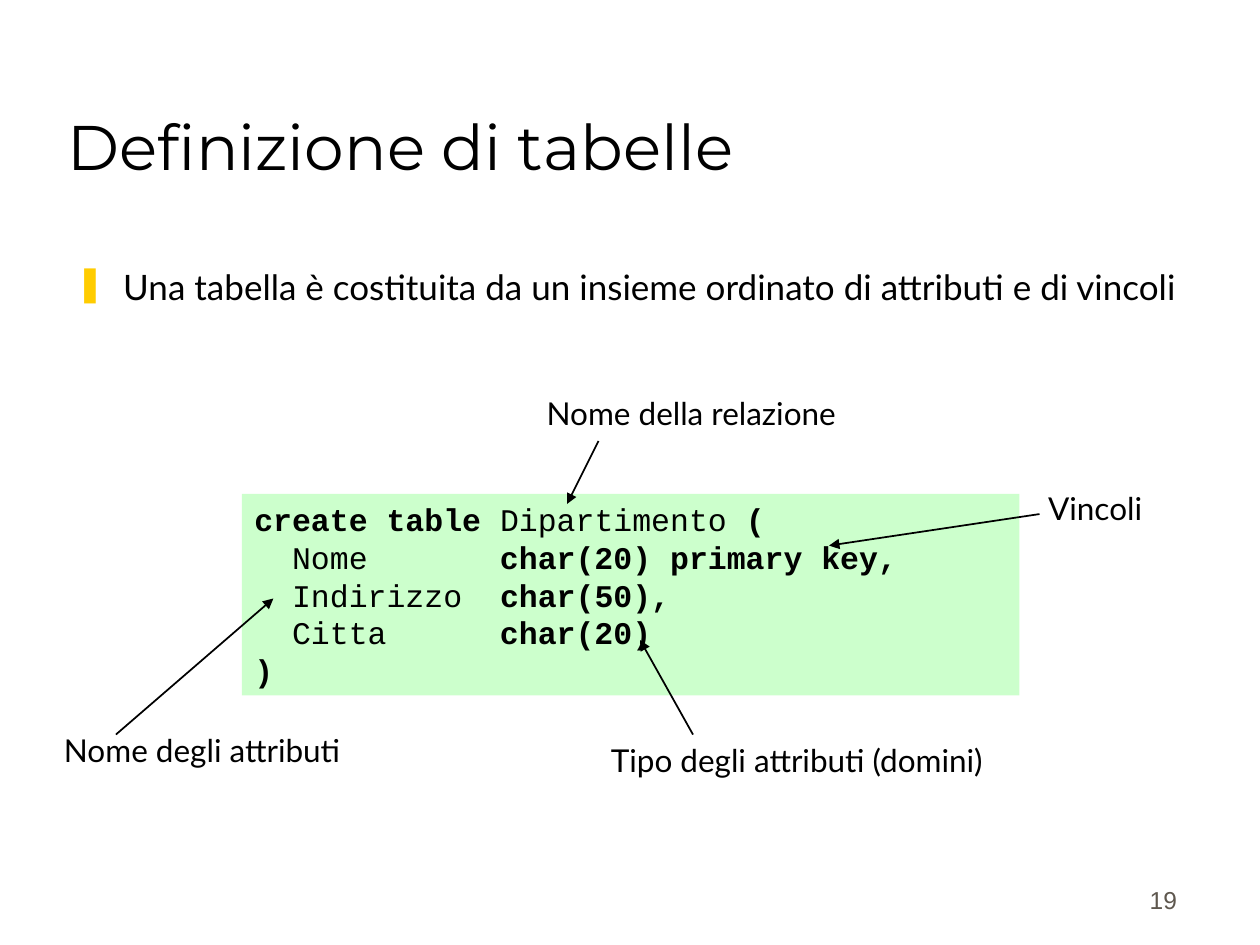
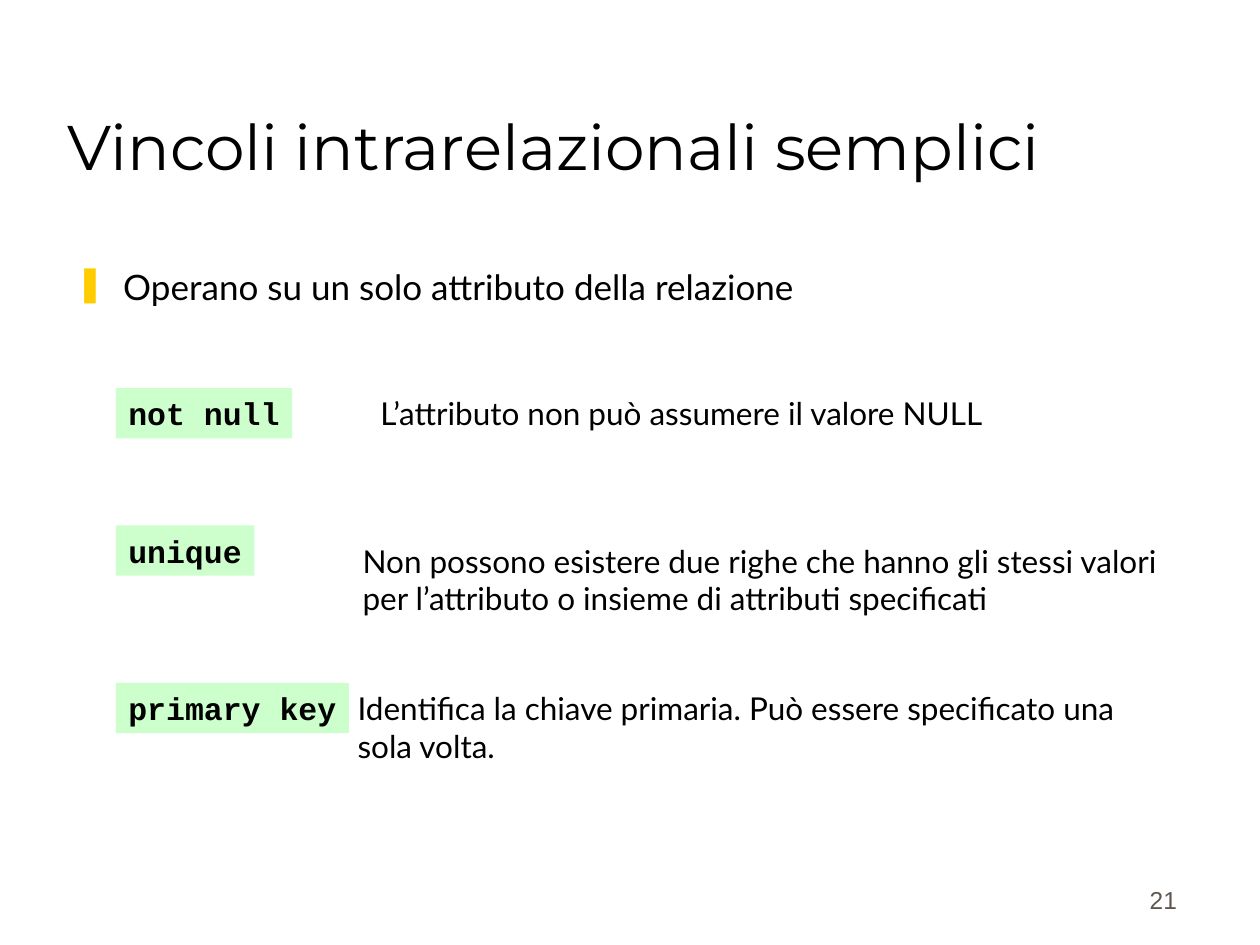
from dataclasses import dataclass
from typing import NamedTuple

from lxml.etree import SubElement
from pptx import Presentation
from pptx.dml.color import RGBColor
from pptx.enum.shapes import MSO_CONNECTOR, MSO_SHAPE
from pptx.enum.text import MSO_ANCHOR, MSO_AUTO_SIZE, PP_ALIGN
from pptx.oxml.ns import qn
from pptx.util import Inches, Pt

BLACK, GREEN, YELLOW, GRAY = "000000", "CCFFCC", "FFCC00", "5E574E"

TITLE = dict(name="Montserrat", size=Pt(36))
BODY = dict(name="Lato", size=Pt(20))
LABEL = dict(name="Lato", size=Pt(18))
CODE = dict(name="Courier New", size=Pt(18), bold=True)
NUMBER = dict(name="Arial", size=Pt(14))

FIXED = dict(word_wrap=True, auto_size=MSO_AUTO_SIZE.NONE)
BOTTOM = dict(FIXED, vertical_anchor=MSO_ANCHOR.BOTTOM)
GROW = dict(word_wrap=False, auto_size=MSO_AUTO_SIZE.SHAPE_TO_FIT_TEXT,
            vertical_anchor=MSO_ANCHOR.TOP)


class Box(NamedTuple):
    left: float
    top: float
    width: float
    height: float = 0.4


class Part(NamedTuple):
    text: str
    bold: bool = True


class Arrow(NamedTuple):
    x1: float
    y1: float
    x2: float
    y2: float


@dataclass
class Block:
    box: Box
    lines: list


CREATE_TABLE = Block(Box(1.92, 3.92, 6.17, 1.6), [
    [Part("create table "), Part("Dipartimento", False), Part(" (")],
    [Part("  "), Part("Nome", False), Part("       char(20) primary key,")],
    [Part("  "), Part("Indirizzo", False), Part("  char(50),")],
    [Part("  "), Part("Citta", False), Part("      char(20)")],
    [Part(")")],
])
CALLOUTS = [
    Block(Box(4.24, 3.08, 2.69), ["Nome della relazione"]),
    Block(Box(4.75, 5.83, 3.4), ["Tipo degli attributi (domini)"]),
    Block(Box(0.41, 5.75, 2.57), ["Nome degli attributi"]),
    Block(Box(8.22, 3.83, 0.97), ["Vincoli"]),
]
ARROWS = [
    Arrow(0.92, 5.83, 2.17, 4.75),
    Arrow(5.5, 5.83, 5.08, 5.08),
    Arrow(8.25, 4.08, 6.58, 4.33),
    Arrow(4.75, 3.5, 4.5, 4),
]
KEYWORDS = [
    Block(Box(0.92, 3.08, 1.4), ["not null"]),
    Block(Box(0.92, 4.17, 1.1), ["unique"]),
    Block(Box(0.92, 5.42, 1.85), ["primary key"]),
]
MEANINGS = [
    Block(Box(2.92, 3.08, 5.36), ["L’attributo non può assumere il valore NULL"]),
    Block(Box(2.78, 4.25, 7.03, 0.7), [
        "Non possono esistere due righe che hanno gli stessi valori",
        "per l’attributo o insieme di attributi specificati"]),
    Block(Box(2.74, 5.42, 6.7, 0.7), [
        "Identifica la chiave primaria. Può essere specificato una",
        "sola volta."]),
]


def rgb(color: str) -> RGBColor:
    """Turn a hex string into a colour."""
    return RGBColor.from_string(color)


def apply(target, values: dict) -> None:
    """Set each named attribute on the target."""
    for name, value in values.items():
        setattr(target, name, value)


def write(sp, lines: list, font: dict, frame: dict, color: str = BLACK,
          align=PP_ALIGN.LEFT) -> None:
    """Fill a shape with lines of plain text or of parts."""
    tf = sp.text_frame
    apply(tf, frame)
    for i, line in enumerate(lines):
        p = tf.paragraphs[0] if i == 0 else tf.add_paragraph()
        p.alignment = align
        parts = [Part(line, font.get("bold", False))] if isinstance(line, str) else line
        for part in parts:
            r = p.add_run()
            r.text = part.text
            apply(r.font, dict(font, bold=part.bold))
            r.font.color.rgb = rgb(color)


def add_text(s, block: Block, font: dict = LABEL, frame: dict = GROW, **style):
    """Add a text box and return it."""
    sp = s.shapes.add_textbox(*map(Inches, block.box))
    write(sp, block.lines, font, frame, **style)
    return sp


def add_code(s, block: Block, wrap: bool = False) -> None:
    """Add a green rectangle holding code."""
    sp = s.shapes.add_shape(MSO_SHAPE.RECTANGLE, *map(Inches, block.box))
    sp.shadow.inherit = False
    sp.fill.solid()
    sp.fill.fore_color.rgb = rgb(GREEN)
    sp.line.fill.background()
    write(sp, block.lines, CODE, dict(GROW, word_wrap=wrap))


def add_arrow(s, arrow: Arrow) -> None:
    """Add a thin black line with a triangle at its end."""
    c = s.shapes.add_connector(MSO_CONNECTOR.STRAIGHT, *map(Inches, arrow))
    c.line.width = Pt(1)
    c.line.color.rgb = rgb(BLACK)
    SubElement(c.line._get_or_add_ln(), qn("a:tailEnd"), type="triangle")
    SubElement(c._element.spPr, qn("a:effectLst"))


def add_bullet(p) -> None:
    """Give a paragraph the yellow bar bullet and a hanging indent."""
    pPr = p._p.get_or_add_pPr()
    pPr.set("marL", str(Inches(0.38)))
    pPr.set("indent", str(Inches(-0.38)))
    SubElement(SubElement(pPr, qn("a:buClr")), qn("a:srgbClr"), val=YELLOW)
    SubElement(pPr, qn("a:buChar"), char="❚")


def add_slide(prs, title: str, statement: str, number: int):
    """Add a slide with its title, bulleted statement and number."""
    s = prs.slides.add_slide(prs.slide_layouts[6])
    add_text(s, Block(Box(0.44, 0.25, 9.14, 1.25), [title]), TITLE, BOTTOM)
    sp = add_text(s, Block(Box(0.5, 2.06, 8.94, 0.6), [statement]), BODY, FIXED)
    add_bullet(sp.text_frame.paragraphs[0])
    add_text(s, Block(Box(7.36, 6.81, 2.08, 0.5), [str(number)]), NUMBER, BOTTOM,
             color=GRAY, align=PP_ALIGN.RIGHT)
    return s


def main() -> None:
    """Build and save the slides."""
    prs = Presentation()
    prs.slide_width, prs.slide_height = Inches(10), Inches(7.5)

    s = add_slide(prs, "Definizione di tabelle",
                  "Una tabella è costituita da un insieme ordinato di attributi e di vincoli", 19)
    add_code(s, CREATE_TABLE, wrap=True)
    for callout in CALLOUTS:
        add_text(s, callout)
    for arrow in ARROWS:
        add_arrow(s, arrow)

    s = add_slide(prs, "Vincoli intrarelazionali semplici",
                  "Operano su un solo attributo della relazione", 21)
    for keyword, meaning in zip(KEYWORDS, MEANINGS):
        add_code(s, keyword)
        add_text(s, meaning)

    prs.save("out.pptx")


if __name__ == "__main__":
    main()
